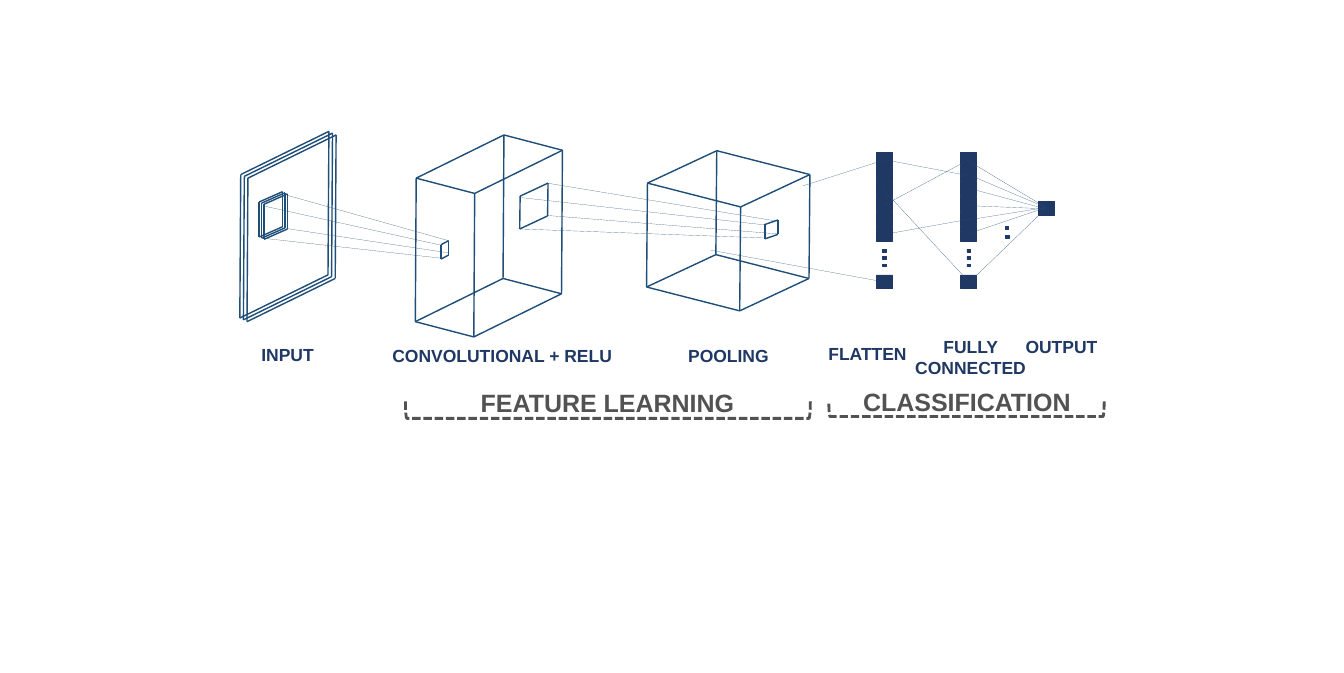
from itertools import product

from lxml import etree
from pptx import Presentation
from pptx.dml.color import RGBColor
from pptx.enum import dml, shapes, text
from pptx.oxml import ns
from pptx.util import Inches, Pt

THEME = {
    "edge": RGBColor.from_string("1F4E79"),
    "navy": RGBColor.from_string("203864"),
    "grey": RGBColor.from_string("525252"),
    "white": RGBColor.from_string("FFFFFF"),
    "font": "Arial",
    "label": 28,
    "stage": 40,
    "bold": 2.25,
    "thin": 0.25,
}

deck = Presentation()
deck.slide_width, deck.slide_height = Inches(29.87), Inches(14.96)
slide = deck.slides.add_slide(deck.slide_layouts[6])
items = slide.shapes


def draw_line(start, end, width):
    line = items.add_connector(
        shapes.MSO_CONNECTOR.STRAIGHT, *[Inches(v) for v in (*start, *end)])
    line.line.color.rgb = THEME["edge"]
    line.line.width = Pt(width)
    etree.SubElement(line._element.spPr, ns.qn("a:effectLst"))


def add_block(kind, box, fill, edge, width):
    block = items.add_shape(kind, *[Inches(v) for v in box])
    block.shadow.inherit = False
    block.fill.solid()
    block.fill.fore_color.rgb = THEME[fill]
    block.line.color.rgb = THEME[edge]
    block.line.width = Pt(width)
    return block


# Panes have two edge vectors, boxes have three: (corner, vectors)
sheet = [(1.96, -0.96), (-0.02, 3.19)]
patch = [(0.52, -0.23), (0, 0.78)]
frames = [
    ((9.25, 3.96), [(1.95, -0.96), (1.3, 0.34), (-0.02, 3.19)]),
    ((14.39, 4.07), [(1.54, -0.72), (2.07, 0.53), (-0.02, 2.31)]),
    ((9.8, 5.44), [(0.17, -0.09), (0, 0.32)]),
    ((11.56, 4.36), [(0.62, -0.29), (-0.01, 0.73)]),
    ((17, 4.99), [(0.29, -0.1), (0, 0.32)]),
]
for step in range(3):
    frames.append(((5.51 - 0.08 * step, 3.96 - 0.04 * step), sheet))
    frames.append(((5.87 - 0.055 * step, 4.54 - 0.025 * step), patch))

for corner, sides in frames:
    for i, side in enumerate(sides):
        rest = sides[:i] + sides[i + 1:]
        for picks in product((0, 1), repeat=len(rest)):
            start = [corner[n] + sum(p * v[n] for p, v in zip(picks, rest))
                     for n in (0, 1)]
            end = [start[n] + side[n] for n in (0, 1)]
            draw_line(start, end, THEME["bold"])

# Neurons of the two dense layers, the output and the dots between them
cells = [(23.08, 4.48, 0.36, 0.31)]
dots = [(22.34, 5.03), (22.35, 5.23)]
for x in (19.48, 21.35):
    tops = [3.39 + 0.332 * n for n in range(6)] + [6.11]
    cells += [(x, y, 0.36, 0.31) for y in tops]
    dots += [(x + 0.14, 5.54 + 0.165 * n) for n in range(3)]
for box in cells + [(x, y, 0.08, 0.06) for x, y in dots]:
    add_block(shapes.MSO_SHAPE.RECTANGLE, box, "navy", "navy", 1)

rays = [
    # input to convolution
    ((5.87, 4.58), (9.8, 5.45)), ((6.38, 4.34), (9.97, 5.35)),
    ((5.89, 5.3), (9.81, 5.74)), ((6.37, 5.08), (9.96, 5.62)),
    # convolution to pooling
    ((12.16, 4.07), (17.29, 4.92)), ((12.17, 4.79), (17.29, 5.2)),
    ((11.56, 4.39), (17, 5)), ((11.56, 5.09), (17, 5.29)),
    # pooling to flatten
    ((17.85, 4.13), (19.64, 3.56)), ((15.79, 5.56), (19.66, 6.27)),
    # flatten to fully connected
    ((19.62, 3.54), (21.49, 3.9)), ((19.63, 4.57), (21.57, 3.53)),
    ((19.66, 5.21), (21.55, 4.87)), ((19.62, 4.2), (21.53, 6.26)),
    # fully connected to output
    ((21.51, 3.57), (23.26, 4.62)), ((21.57, 3.9), (23.24, 4.61)),
    ((21.55, 4.19), (23.23, 4.64)), ((21.51, 4.57), (23.21, 4.64)),
    ((21.51, 4.89), (23.26, 4.61)), ((21.51, 5.2), (23.26, 4.61)),
    ((21.55, 6.27), (23.26, 4.62)),
]
for start, end in rays:
    draw_line(start, end, THEME["thin"])

for box in ((13.32, 4.61, 0.38, 9), (21.31, 6.03, 0.34, 6.12)):
    brace = add_block(
        shapes.MSO_SHAPE.RIGHT_BRACKET, box, "white", "grey", 4.5)
    brace.rotation = 90
    brace.line.dash_style = dml.MSO_LINE.SQUARE_DOT

left, mid = text.PP_ALIGN.LEFT, text.PP_ALIGN.CENTER
labels = [
    ("INPUT", (5.71, 7.59, 1.55, 0.57), left, "label", "navy"),
    ("CONVOLUTIONAL + RELU", (8.15, 7.63, 6.02, 0.57), mid, "label", "navy"),
    ("POOLING", (14.72, 7.63, 2.94, 0.57), mid, "label", "navy"),
    ("FLATTEN", (17.81, 7.57, 2.94, 0.57), mid, "label", "navy"),
    ("FULLY CONNECTED", (20.1, 7.42, 2.94, 1.04), mid, "label", "navy"),
    ("OUTPUT", (22.12, 7.43, 2.94, 0.57), mid, "label", "navy"),
    ("FEATURE LEARNING", (10.49, 8.56, 6.02, 0.77), mid, "stage", "grey"),
    ("CLASSIFICATION", (18.9, 8.55, 5.18, 0.77), mid, "stage", "grey"),
]
for words, box, align, size, ink in labels:
    frame = items.add_textbox(*[Inches(v) for v in box]).text_frame
    frame.word_wrap = True
    frame.auto_size = text.MSO_AUTO_SIZE.SHAPE_TO_FIT_TEXT
    para = frame.paragraphs[0]
    para.alignment = align
    run = para.add_run()
    run.text = words
    style = {"name": THEME["font"], "size": Pt(THEME[size]), "bold": True}
    for key, value in style.items():
        setattr(run.font, key, value)
    run.font.color.rgb = THEME[ink]

deck.save("out.pptx")
